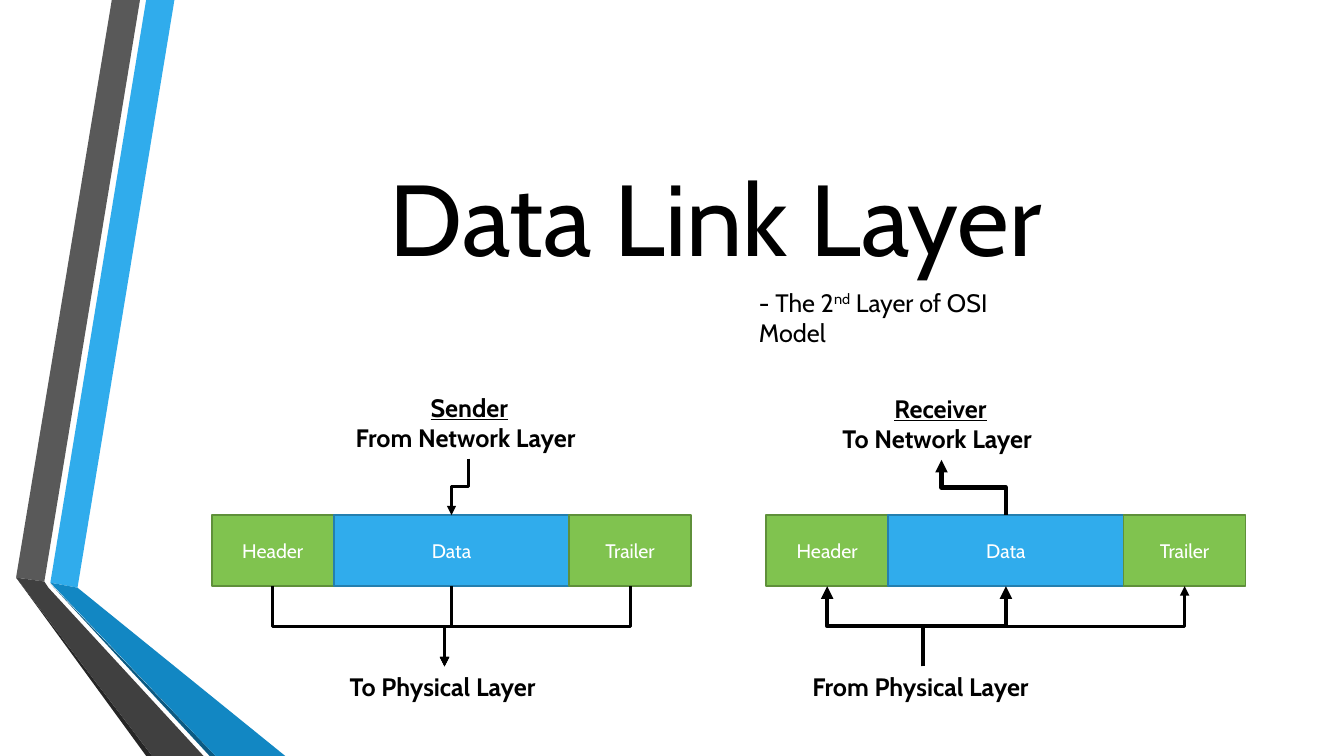
"""Build the Data Link Layer slide with sender and receiver frames."""
from lxml import etree
from pptx import Presentation
from pptx import util as u
from pptx.dml.color import RGBColor
from pptx.enum import shapes, text
from pptx.oxml.ns import qn

FONT = "Cabin"
COLORS = {
    "black": "000000", "white": "FFFFFF",
    "blue": "30ACEC", "blue_edge": "247FAF", "blue_dark": "1287C3", "blue_deep": "0C5A82",
    "green": "80C34F", "green_edge": "5F903A",
    "gray": "595959", "gray_dark": "404040", "gray_deep": "262626",
}
RIBBONS = [
    ("blue", [(36, 416.2), (55.4, 419.8), (124.6, 0), (104.4, 0)]),
    ("gray", [(100, 0), (79.9, 0), (11.5, 412.6), (31.7, 415.4)]),
    ("gray_deep", [(11.5, 412.6), (104.4, 540), (108.7, 540)]),
    ("blue_deep", [(36, 416.9), (149.8, 540), (154.1, 540)]),
    ("blue_dark", [(36, 416.2), (154.1, 540), (203.8, 540), (55.4, 419.8)]),
    ("gray_dark", [(145.4, 540), (34.6, 419.8), (31.7, 415.4), (11.5, 412.6), (108.7, 540)]),
]
TITLE = "Data Link Layer"
LABELS = [
    ((535, 201.6, 224.6, 28.8), False, [[("- The 2", ""), ("nd", "raised"), (" Layer of OSI Model", "")]]),
    ((247, 276.5, 176.4, 51), True, [[("Sender", "heading")], [("From Network Layer", "")]]),
    ((242.6, 475.9, 149.8, 28.8), True, [[("To Physical Layer", "")]]),
    ((594.7, 277.2, 154.1, 51), True, [[("Receiver", "heading")], [("To Network Layer", "")]]),
    ((573.1, 475.9, 172.1, 28.8), True, [[("From Physical Layer", "")]]),
]
FRAME_PARTS = [("Header", 87.3, "green"), ("Data", 168, "blue"), ("Trailer", 87.3, "green")]
FRAME_TOP, FRAME_HEIGHT = 368, 50.7
FRAME_BOTTOM = FRAME_TOP + FRAME_HEIGHT
SENDER_LEFT, RECEIVER_LEFT = 151.2, 547.2
SENDER_NETWORK, RECEIVER_NETWORK = (334.8, 327.6), (672.5, 328.5)
SENDER_PHYSICAL, RECEIVER_PHYSICAL = (317.5, 476), (659.5, 476)
RECEIVER_WEIGHTS = [3, 3, 2.25]


def color(name):
    return RGBColor.from_string(COLORS[name])


def add_span(para, words, size, tint, bold=False):
    span = para.add_run()
    span.text = words
    span.font.name = FONT
    span.font.size = u.Pt(size)
    span.font.bold = bold
    span.font.color.rgb = color(tint)
    return span


def add_ribbon(page, tint, points):
    corners = [(u.Pt(x), u.Pt(y)) for x, y in points]
    builder = page.shapes.build_freeform(*corners[0], scale=1.0)
    builder.add_line_segments(corners[1:], close=True)
    ribbon = builder.convert_to_shape()
    ribbon.shadow.inherit = False
    ribbon.fill.solid()
    ribbon.fill.fore_color.rgb = color(tint)
    ribbon.line.fill.background()


def add_title(page):
    title = page.shapes.title
    title.left, title.top, title.width, title.height = map(u.Pt, (116.6, 25.9, 789.1, 256.3))
    title.text_frame.vertical_anchor = text.MSO_ANCHOR.MIDDLE
    para = title.text_frame.paragraphs[0]
    para.alignment = text.PP_ALIGN.CENTER
    add_span(para, TITLE, 72, "black")


def add_label(page, place, bold, lines):
    frame = page.shapes.add_textbox(*map(u.Pt, place)).text_frame
    frame.word_wrap = True
    for index, spans in enumerate(lines):
        para = frame.add_paragraph() if index else frame.paragraphs[0]
        for words, style in spans:
            span = add_span(para, words, 18, "black", bold)
            if style == "heading":
                para.alignment = text.PP_ALIGN.CENTER
                span.font.underline = True
            elif style == "raised":
                span.font._element.set("baseline", "30000")


def add_frame(page, left):
    """Draw one frame and return the middle of each part."""
    middles = []
    for name, width, tint in FRAME_PARTS:
        box = page.shapes.add_shape(shapes.MSO_SHAPE.RECTANGLE,
                                    *map(u.Pt, (left, FRAME_TOP, width, FRAME_HEIGHT)))
        box.shadow.inherit = False
        box.fill.solid()
        box.fill.fore_color.rgb = color(tint)
        box.line.color.rgb = color(tint + "_edge")
        box.line.width = u.Pt(1.25)
        box.text_frame.vertical_anchor = text.MSO_ANCHOR.MIDDLE
        para = box.text_frame.paragraphs[0]
        para.alignment = text.PP_ALIGN.CENTER
        add_span(para, name, 14, "white")
        middles.append(left + width / 2)
        left += width
    return middles


def add_arrow(page, start, end, weight):
    """Draw an elbow arrow that leaves and arrives vertically."""
    (x1, y1), (x2, y2) = start, end
    center_x, center_y = (x1 + x2) / 2, (y1 + y2) / 2
    turn = 1 if (x2 - x1) * (y2 - y1) < 0 else -1
    half_x, half_y = turn * (y2 - y1) / 2, turn * (x1 - x2) / 2
    arrow = page.shapes.add_connector(
        shapes.MSO_CONNECTOR.ELBOW,
        *map(u.Pt, (center_x - half_x, center_y - half_y, center_x + half_x, center_y + half_y)))
    arrow.line.color.rgb = color("black")
    arrow.line.width = u.Pt(weight)
    props = arrow._element.spPr
    props.find(qn("a:xfrm")).set("rot", str(turn * 90 % 360 * 60000))
    etree.SubElement(props.find(qn("a:ln")), qn("a:tailEnd"), type="triangle")
    etree.SubElement(props, qn("a:effectLst"))


def main():
    deck = Presentation()
    deck.slide_width, deck.slide_height = u.Pt(960), u.Pt(540)
    page = deck.slides.add_slide(deck.slide_layouts[5])
    for tint, points in RIBBONS:
        add_ribbon(page, tint, points)
    add_title(page)
    for label in LABELS:
        add_label(page, *label)

    sender = add_frame(page, SENDER_LEFT)
    add_arrow(page, SENDER_NETWORK, (sender[1], FRAME_TOP), 2.25)
    for middle in sender:
        add_arrow(page, (middle, FRAME_BOTTOM), SENDER_PHYSICAL, 2.25)

    receiver = add_frame(page, RECEIVER_LEFT)
    add_arrow(page, (receiver[1], FRAME_TOP), RECEIVER_NETWORK, 3)
    for middle, weight in zip(receiver, RECEIVER_WEIGHTS):
        add_arrow(page, RECEIVER_PHYSICAL, (middle, FRAME_BOTTOM), weight)
    deck.save("out.pptx")


if __name__ == "__main__":
    main()
